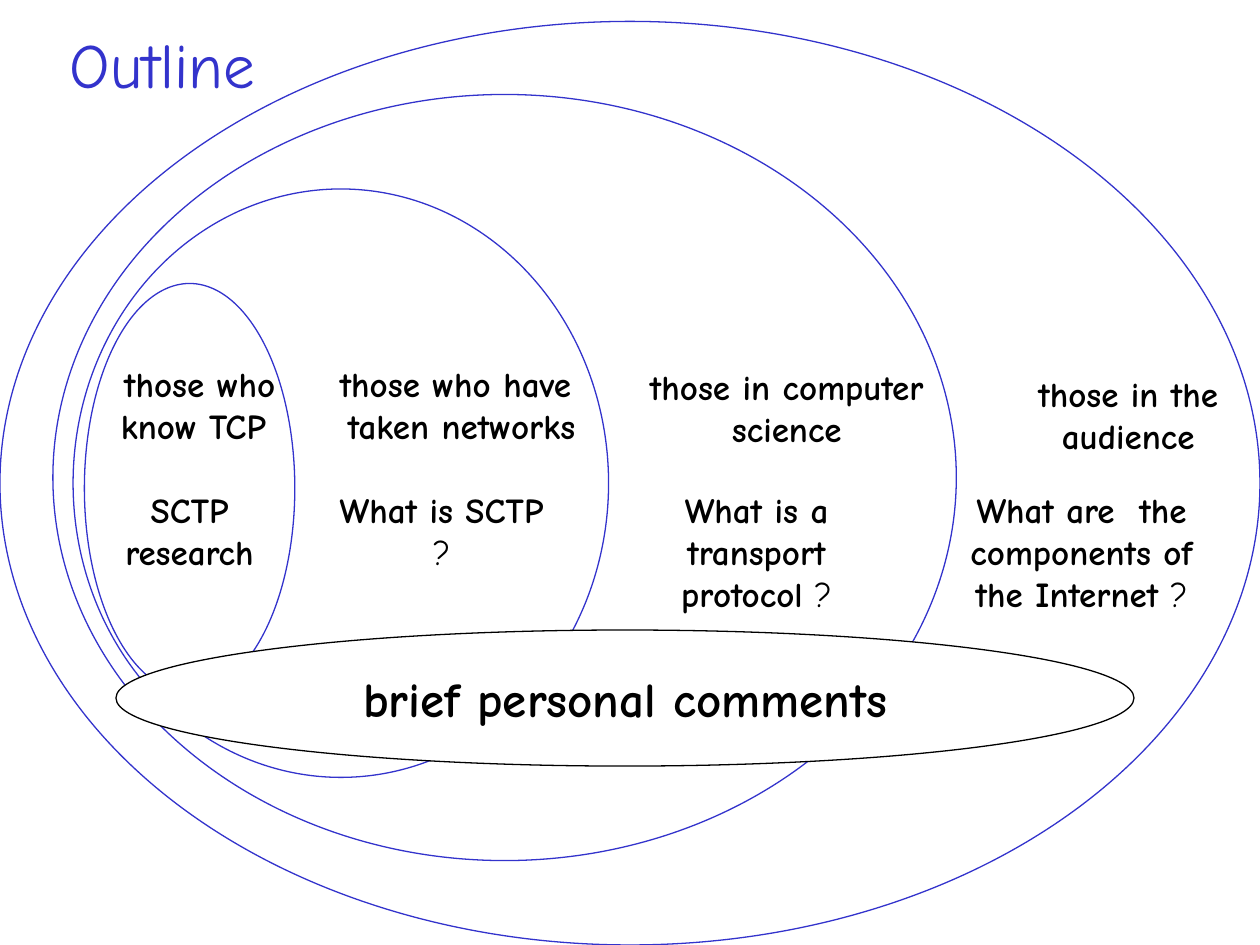
from dataclasses import dataclass

import pptx
import pptx.dml.color
import pptx.enum.shapes
import pptx.enum.text
import pptx.util

Inches = pptx.util.Inches
Pt = pptx.util.Pt
RGB = pptx.dml.color.RGBColor
Anchor = pptx.enum.text.MSO_ANCHOR
AutoSize = pptx.enum.text.MSO_AUTO_SIZE
Box = tuple[float, float, float, float]


@dataclass(frozen=True)
class Theme:
    font: str = "Comic Neue"
    accent: RGB = RGB(0x33, 0x33, 0xCC)
    ink: RGB = RGB(0, 0, 0)
    paper: RGB = RGB(0xFF, 0xFF, 0xFF)
    title_size: float = 36
    comments_size: float = 28
    body_size: float = 20
    outline: float = 0.75


@dataclass(frozen=True)
class Audience:
    """One ring of listeners and the topic meant for them."""
    ring: Box
    who: list[str]
    who_box: Box
    topic: str
    topic_box: Box
    ending: str = " ?"


THEME = Theme()
TOPIC_TOP = 3.83

# From the widest audience to the narrowest
AUDIENCES = [
    Audience((0, 0.17, 10, 7.33),
             ["those in the audience"], (7.91, 2.91, 2.09, 0.77),
             "What are  the components of the Internet", (7.42, TOPIC_TOP, 2.33, 1.1)),
    Audience((0.42, 0.75, 7.17, 6.08),
             ["those in computer science"], (4.99, 2.85, 2.51, 0.77),
             "What is a transport protocol", (5.08, TOPIC_TOP, 1.85, 1.1)),
    Audience((0.58, 1.5, 4.25, 4.67),
             ["those who have ", "taken networks"], (2.5, 2.83, 2.33, 0.77),
             "What is SCTP", (2.58, TOPIC_TOP, 1.85, 0.77)),
    Audience((0.67, 2.25, 1.67, 3.25),
             ["those who know TCP "], (0.75, 2.83, 1.67, 0.77),
             "SCTP research", (0.58, TOPIC_TOP, 1.85, 0.77), ending=""),
]


def write(frame, lines: list[str], *, size: float = THEME.body_size,
          color: RGB = THEME.ink, bold: bool = True, ending: str = "",
          anchor=Anchor.TOP, wrap: bool = True, auto_size=AutoSize.NONE) -> None:
    """Fill a frame with centred lines; the ending is set in regular weight."""
    frame.word_wrap = wrap
    frame.auto_size = auto_size
    frame.vertical_anchor = anchor
    for index, line in enumerate(lines):
        paragraph = frame.paragraphs[0] if index == 0 else frame.add_paragraph()
        paragraph.alignment = pptx.enum.text.PP_ALIGN.CENTER
        pieces = [(line, bold)]
        if ending and index == len(lines) - 1:
            pieces.append((ending, False))
        for words, weight in pieces:
            run = paragraph.add_run()
            run.text = words
            run.font.name = THEME.font
            run.font.size = Pt(size)
            run.font.bold = weight
            run.font.color.rgb = color


def add_ellipse(slide, box: Box, line: RGB, fill: RGB | None = None):
    ellipse = slide.shapes.add_shape(
        pptx.enum.shapes.MSO_SHAPE.OVAL, *map(Inches, box))
    ellipse.shadow.inherit = False
    if fill is None:
        ellipse.fill.background()
    else:
        ellipse.fill.solid()
        ellipse.fill.fore_color.rgb = fill
    ellipse.line.color.rgb = line
    ellipse.line.width = Pt(THEME.outline)
    return ellipse


def add_label(slide, box: Box, lines: list[str], ending: str = "") -> None:
    label = slide.shapes.add_textbox(*map(Inches, box))
    write(label.text_frame, lines, ending=ending,
          auto_size=AutoSize.SHAPE_TO_FIT_TEXT)


def add_audience(slide, audience: Audience) -> None:
    add_ellipse(slide, audience.ring, THEME.accent)
    add_label(slide, audience.who_box, audience.who)
    add_label(slide, audience.topic_box, [audience.topic], audience.ending)


def main() -> None:
    deck = pptx.Presentation()
    deck.slide_width, deck.slide_height = Inches(10), Inches(7.5)
    slide = deck.slides.add_slide(deck.slide_layouts[5])

    # Title
    title = slide.shapes.title
    title.left, title.top, title.width, title.height = map(Inches, (0, 0, 2.58, 1))
    write(title.text_frame, ["Outline"], size=THEME.title_size,
          color=THEME.accent, bold=False, anchor=Anchor.MIDDLE)

    # Nested audiences
    for audience in AUDIENCES:
        add_audience(slide, audience)

    # Comments shared by every audience
    comments = add_ellipse(slide, (0.92, 5, 8.08, 1.08), THEME.ink, THEME.paper)
    write(comments.text_frame, ["brief personal comments"],
          size=THEME.comments_size, anchor=Anchor.MIDDLE, wrap=False)

    deck.save("out.pptx")


if __name__ == "__main__":
    main()
